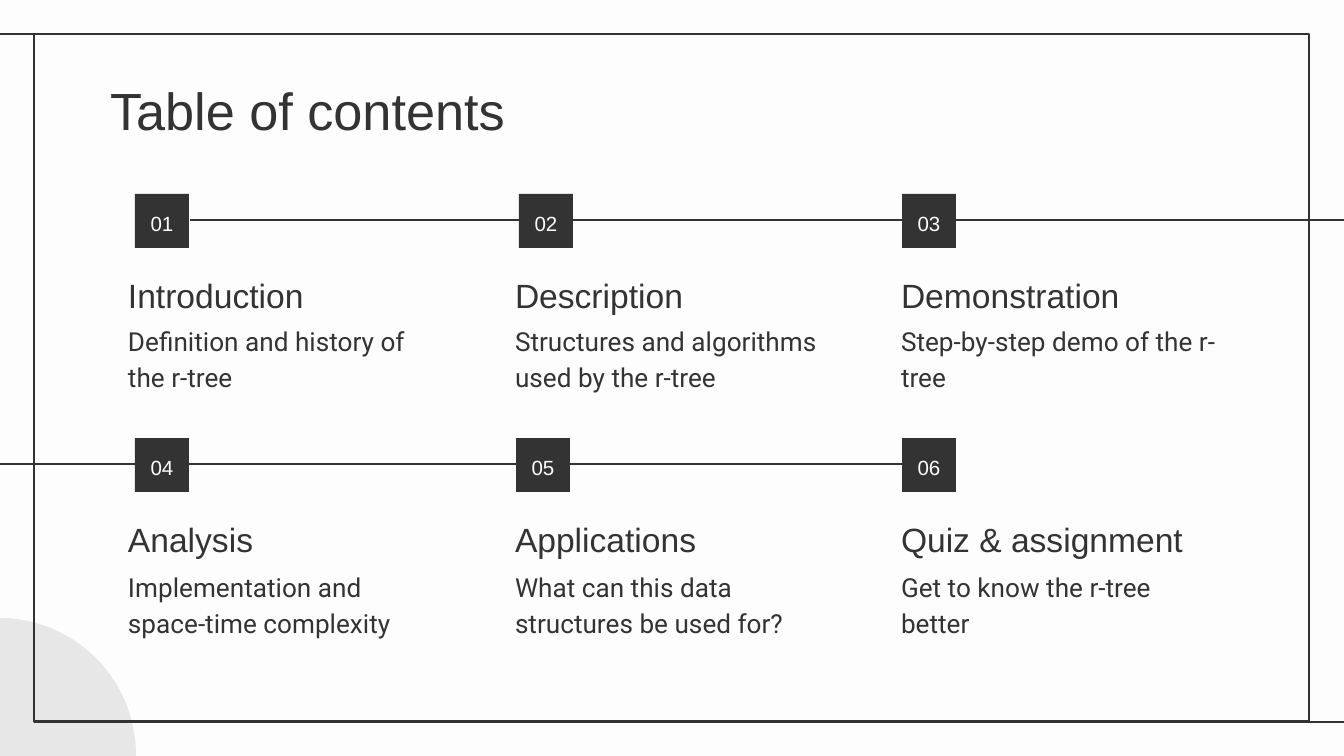
from dataclasses import dataclass

from lxml.etree import SubElement
from pptx import Presentation
from pptx.dml.color import RGBColor
from pptx.enum.shapes import MSO_CONNECTOR, MSO_SHAPE
from pptx.enum.text import MSO_ANCHOR as Anchor, MSO_AUTO_SIZE, PP_ALIGN as Align
from pptx.oxml.ns import qn
from pptx.util import Emu, Pt

INK = RGBColor(0x33, 0x33, 0x33)
PAPER = RGBColor(0xFD, 0xFD, 0xFD)
PALE = RGBColor(0xE8, 0xE7, 0xE7)

EMU_PER_PX = 914400 / 134.4
SLIDE_WIDTH, SLIDE_HEIGHT = 1344, 756
INSET = 12
BADGE = 54
TEXT_WIDTH = 339


@dataclass(frozen=True)
class Rect:
    left: int
    top: int
    width: int
    height: int


@dataclass(frozen=True)
class TextStyle:
    font: str
    size: int
    color: RGBColor = INK
    anchor: Anchor = Anchor.TOP
    align: Align = Align.LEFT
    spacing: float = 1.15


@dataclass(frozen=True)
class Row:
    badge_top: int
    heading_top: int
    detail_top: int
    line_start: int
    line_end: int


@dataclass(frozen=True)
class Topic:
    badge_left: int
    heading: str
    detail: str


TITLE = TextStyle("Arial", 28, spacing=1.0)
NUMBER = TextStyle("Arial", 11, PAPER, Anchor.MIDDLE, Align.CENTER)
HEADING = TextStyle("Arial", 18, anchor=Anchor.BOTTOM)
DETAIL = TextStyle("Roboto", 14)

COLUMN_LEFTS = (116, 503, 889)
ROWS = (
    Row(194, 271, 309, 190, 1367),
    Row(438, 515, 555, -24, 902),
)
TOPICS = (
    Topic(135, "Introduction", "Definition and history of the r-tree"),
    Topic(519, "Description", "Structures and algorithms used by the r-tree"),
    Topic(902, "Demonstration", "Step-by-step demo of the r-tree"),
    Topic(135, "Analysis", "Implementation and space-time complexity"),
    Topic(516, "Applications", "What can this data structures be used for?"),
    Topic(902, "Quiz & assignment", "Get to know the r-tree better"),
)


def px(length: int) -> Emu:
    return Emu(round(length * EMU_PER_PX))


def bounds(rect: Rect) -> tuple[Emu, Emu, Emu, Emu]:
    return px(rect.left), px(rect.top), px(rect.width), px(rect.height)


def write(box, text: str, style: TextStyle) -> None:
    frame = box.text_frame
    frame.text = text
    frame.word_wrap = True
    frame.auto_size = MSO_AUTO_SIZE.NONE
    frame.vertical_anchor = style.anchor
    frame.margin_left = frame.margin_right = px(INSET)
    frame.margin_top = frame.margin_bottom = px(INSET)
    para = frame.paragraphs[0]
    para.alignment = style.align
    para.line_spacing = style.spacing
    para.font.name = style.font
    para.font.size = Pt(style.size)
    para.font.color.rgb = style.color


def add_text(slide, rect: Rect, text: str, style: TextStyle) -> None:
    write(slide.shapes.add_textbox(*bounds(rect)), text, style)


def add_filled(slide, kind: MSO_SHAPE, rect: Rect, color: RGBColor):
    shape = slide.shapes.add_shape(kind, *bounds(rect))
    shape.shadow.inherit = False
    shape.fill.solid()
    shape.fill.fore_color.rgb = color
    shape.line.fill.background()
    return shape


def add_line(slide, start: int, end: int, y: int) -> None:
    line = slide.shapes.add_connector(
        MSO_CONNECTOR.STRAIGHT, px(start), px(y), px(end), px(y))
    line.line.color.rgb = INK
    line.line.width = Pt(1.5)
    SubElement(line._element.spPr, qn("a:effectLst"))


def add_frame(slide, rect: Rect) -> None:
    frame = slide.shapes.add_shape(MSO_SHAPE.RECTANGLE, *bounds(rect))
    frame.shadow.inherit = False
    frame.fill.background()
    frame.line.color.rgb = INK
    frame.line.width = Pt(1.5)
    # Edges that run on past the frame to the slide's sides
    add_line(slide, 0, rect.left, rect.top)
    add_line(slide, rect.left + rect.width, SLIDE_WIDTH, rect.top + rect.height)


def add_topic(slide, number: int, topic: Topic, left: int, row: Row) -> None:
    badge = add_filled(slide, MSO_SHAPE.RECTANGLE,
                       Rect(topic.badge_left, row.badge_top, BADGE, BADGE), INK)
    write(badge, f"{number:02}", NUMBER)
    add_text(slide, Rect(left, row.detail_top, TEXT_WIDTH, 85), topic.detail, DETAIL)
    add_text(slide, Rect(left, row.heading_top, TEXT_WIDTH, 56), topic.heading, HEADING)


def main() -> None:
    deck = Presentation()
    deck.slide_width, deck.slide_height = px(SLIDE_WIDTH), px(SLIDE_HEIGHT)
    page = deck.slides.add_slide(deck.slide_layouts[5])
    page.background.fill.solid()
    page.background.fill.fore_color.rgb = PAPER

    # Corner disc and frame
    add_filled(page, MSO_SHAPE.OVAL, Rect(-138, 618, 274, 274), PALE)
    add_frame(page, Rect(34, 34, 1275, 688))

    # Title
    title = page.shapes.title
    title.left, title.top, title.width, title.height = bounds(Rect(98, 66, 1133, 85))
    write(title, "Table of contents", TITLE)

    # Timelines, then the topics along them
    for row in ROWS:
        add_line(page, row.line_start, row.line_end, row.badge_top + BADGE // 2 - 1)
    for index, topic in enumerate(TOPICS):
        row, column = divmod(index, len(COLUMN_LEFTS))
        add_topic(page, index + 1, topic, COLUMN_LEFTS[column], ROWS[row])

    deck.save("out.pptx")


if __name__ == "__main__":
    main()
